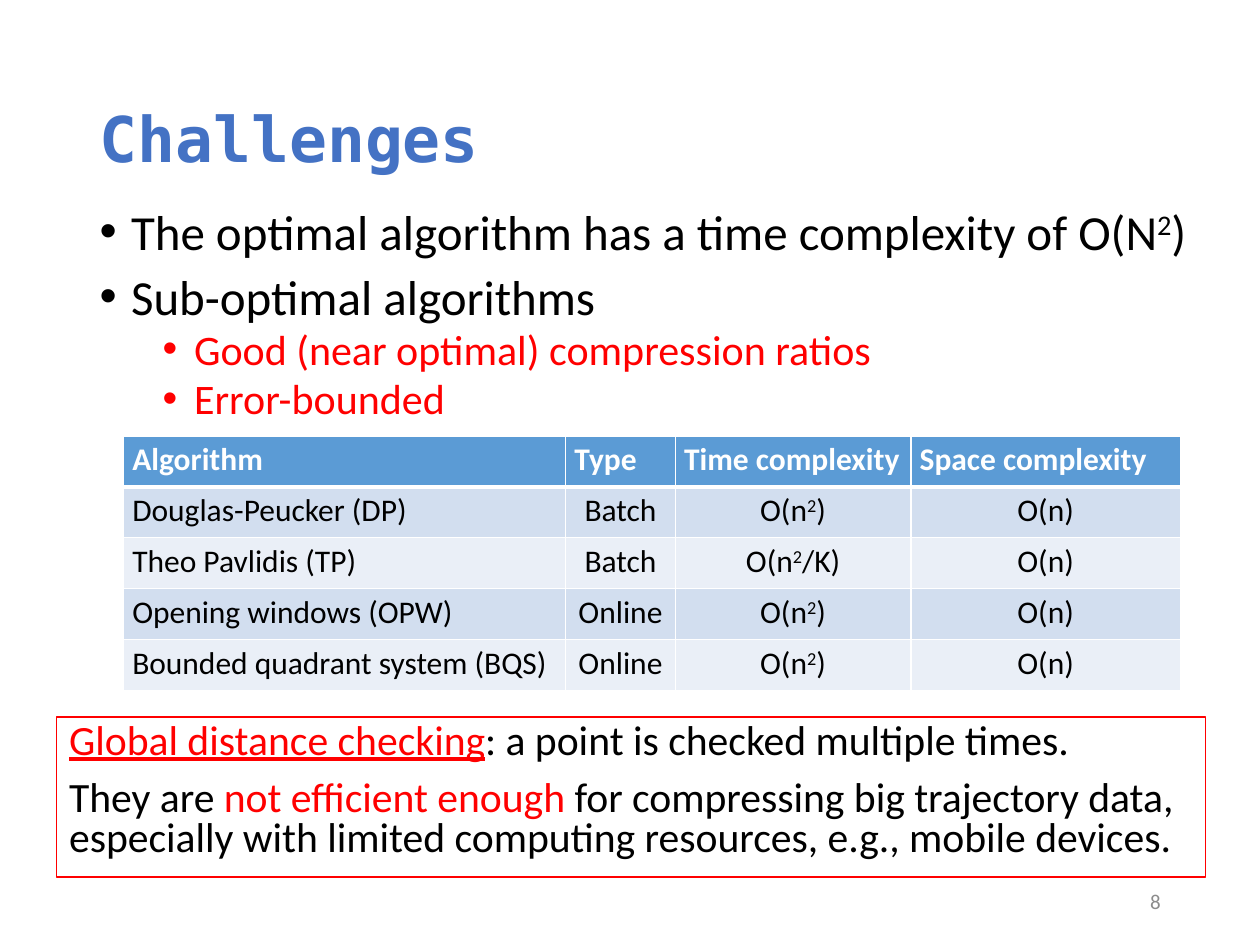
from typing import NamedTuple

import lxml.etree
import pptx
import pptx.dml.color
import pptx.enum.shapes
import pptx.enum.text
import pptx.oxml.ns
import pptx.util

BODY_FONT = "Calibri"
TITLE_FONT = "DejaVu Sans Mono"
BLACK, WHITE, RED = "000000", "FFFFFF", "FF0000"
HEADER_BLUE, TITLE_BLUE, GREY = "5B9BD5", "4472C4", "8C8C8C"
BAND_FILLS = ("D2DEEF", "EAEFF7")
ALIGN = pptx.enum.text.PP_ALIGN
ANCHOR = pptx.enum.text.MSO_ANCHOR

SLIDE_WIDTH = pptx.util.Inches(10)
SLIDE_HEIGHT = pptx.util.Inches(7.5)


class Area(NamedTuple):
    """A rectangle in percent of the slide's width and height."""
    left: float
    top: float
    width: float
    height: float

    def lengths(self) -> tuple[int, int, int, int]:
        return (across(self.left), down(self.top), across(self.width), down(self.height))


class Run(NamedTuple):
    text: str
    color: str = BLACK
    underline: bool = False
    superscript: bool = False


class Style(NamedTuple):
    size: float
    font: str = BODY_FONT
    bold: bool = False
    align: ALIGN = ALIGN.LEFT
    line_spacing: float = 1.0
    space_before: float = 0


class Bullet(NamedTuple):
    runs: list[Run]
    level: int = 0


TITLE_AREA = Area(6.9, 5.33, 86.2, 19.33)
BODY_AREA = Area(6.9, 21.87, 88.8, 25.47)
TABLE_AREA = Area(9.8, 46.13, 83.9, 26.93)
BOX_AREA = Area(4.5, 75.87, 91.2, 16.93)
NUMBER_AREA = Area(70.6, 92.67, 22.5, 5.33)
COLUMN_WIDTHS = (35.1, 8.7, 18.7, 21.4)

SQUARE = Run("2", superscript=True)
QUADRATIC = [Run("O(n"), SQUARE, Run(")")]
LINEAR = [Run("O(n)")]

BULLETS = [
    Bullet([Run("The optimal algorithm has a time complexity of O(N"), SQUARE, Run(")")]),
    Bullet([Run("Sub-optimal algorithms")]),
    Bullet([Run("Good (near optimal) compression ratios", RED)], level=1),
    Bullet([Run("Error-bounded", RED)], level=1),
]
BULLET_STYLES = (Style(28, line_spacing=0.8, space_before=10),
                 Style(24, line_spacing=0.8, space_before=5))
BULLET_INDENTS = (0.25, 0.75)

HEADINGS = ("Algorithm", "Type", "Time complexity", "Space complexity")
ALGORITHMS = [
    ("Douglas-Peucker (DP)", "Batch", QUADRATIC),
    ("Theo Pavlidis (TP)", "Batch", [Run("O(n"), SQUARE, Run("/K)")]),
    ("Opening windows (OPW)", "Online", QUADRATIC),
    ("Bounded quadrant system (BQS)", "Online", QUADRATIC),
]

CONCLUSIONS = [
    [Run("Global distance checking", RED, underline=True),
     Run(": a point is checked multiple times.")],
    [Run("They are "), Run("not efficient enough", RED),
     Run(" for compressing big trajectory data, especially with limited "
         "computing resources, e.g., mobile devices.")],
]


def across(percent: float) -> int:
    return round(SLIDE_WIDTH * percent / 100)


def down(percent: float) -> int:
    return round(SLIDE_HEIGHT * percent / 100)


def color(value: str) -> pptx.dml.color.RGBColor:
    return pptx.dml.color.RGBColor.from_string(value)


def place(shape, area: Area) -> None:
    shape.left, shape.top, shape.width, shape.height = area.lengths()


def paragraph_at(text_frame, index: int):
    return text_frame.paragraphs[0] if index == 0 else text_frame.add_paragraph()


def write(paragraph, runs: list[Run], style: Style, first: bool = True) -> None:
    paragraph.alignment = style.align
    paragraph.line_spacing = style.line_spacing
    paragraph.space_before = pptx.util.Pt(0 if first else style.space_before)
    for item in runs:
        run = paragraph.add_run()
        run.text = item.text
        run.font.name = style.font
        run.font.size = pptx.util.Pt(style.size)
        run.font.bold = style.bold
        run.font.underline = item.underline
        run.font.color.rgb = color(item.color)
        if item.superscript:
            run._r.get_or_add_rPr().set("baseline", "30000")


def add_bullet(paragraph, indent: float) -> None:
    properties = paragraph._p.get_or_add_pPr()
    properties.set("marL", str(pptx.util.Inches(indent)))
    properties.set("indent", str(-pptx.util.Inches(0.25)))
    for tag, name, value in (("a:buFont", "typeface", "Arial"), ("a:buChar", "char", "•")):
        lxml.etree.SubElement(properties, pptx.oxml.ns.qn(tag)).set(name, value)


def set_borders(cell, widths: dict[str, float]) -> None:
    """Draw white borders; they come before the fill in the cell's XML."""
    properties = cell._tc.get_or_add_tcPr()
    for position, (side, width) in enumerate(widths.items()):
        line = lxml.etree.Element(pptx.oxml.ns.qn(f"a:{side}"), w=str(pptx.util.Pt(width)))
        fill = lxml.etree.SubElement(line, pptx.oxml.ns.qn("a:solidFill"))
        lxml.etree.SubElement(fill, pptx.oxml.ns.qn("a:srgbClr")).set("val", WHITE)
        properties.insert(position, line)


def add_title(slide) -> None:
    title = slide.shapes.title
    place(title, TITLE_AREA)
    title.text_frame.vertical_anchor = ANCHOR.MIDDLE
    write(title.text_frame.paragraphs[0], [Run("Challenges", TITLE_BLUE)],
          Style(36, TITLE_FONT, bold=True, line_spacing=0.9))


def add_body(slide) -> None:
    body = slide.placeholders[1]
    place(body, BODY_AREA)
    body.text_frame.auto_size = pptx.enum.text.MSO_AUTO_SIZE.NONE
    for index, bullet in enumerate(BULLETS):
        paragraph = paragraph_at(body.text_frame, index)
        paragraph.level = bullet.level
        write(paragraph, bullet.runs, BULLET_STYLES[bullet.level], index == 0)
        add_bullet(paragraph, BULLET_INDENTS[bullet.level])


def add_algorithm_table(slide) -> None:
    rows = [[[Run(heading, WHITE)] for heading in HEADINGS]]
    rows += [[[Run(name)], [Run(kind)], time, LINEAR] for name, kind, time in ALGORITHMS]
    table = slide.shapes.add_table(len(rows), len(HEADINGS), *TABLE_AREA.lengths()).table
    for column, width in zip(table.columns, COLUMN_WIDTHS):
        column.width = across(width)
    for row_index, row in enumerate(rows):
        header = row_index == 0
        for column_index, runs in enumerate(row):
            cell = table.cell(row_index, column_index)
            cell.margin_left = cell.margin_right = pptx.util.Inches(0.07)
            cell.margin_top = cell.margin_bottom = pptx.util.Inches(0.04)
            cell.fill.solid()
            cell.fill.fore_color.rgb = color(
                HEADER_BLUE if header else BAND_FILLS[(row_index - 1) % 2])
            set_borders(cell, {"lnL": 1, "lnR": 1, "lnT": 3 if row_index == 1 else 1,
                               "lnB": 3 if header else 1})
            align = ALIGN.LEFT if header or column_index == 0 else ALIGN.CENTER
            write(cell.text_frame.paragraphs[0], runs, Style(18, bold=header, align=align))


def add_conclusion_box(slide) -> None:
    box = slide.shapes.add_shape(pptx.enum.shapes.MSO_SHAPE.RECTANGLE, *BOX_AREA.lengths())
    box.shadow.inherit = False
    box.fill.background()
    box.line.color.rgb = color(RED)
    box.line.width = pptx.util.Pt(0.75)
    box.text_frame.word_wrap = True
    box.text_frame.vertical_anchor = ANCHOR.TOP
    for index, runs in enumerate(CONCLUSIONS):
        write(paragraph_at(box.text_frame, index), runs,
              Style(23.8, line_spacing=0.8, space_before=10), index == 0)


def add_slide_number(slide) -> None:
    number = slide.shapes.add_textbox(*NUMBER_AREA.lengths())
    number.text_frame.word_wrap = True
    number.text_frame.vertical_anchor = ANCHOR.MIDDLE
    write(number.text_frame.paragraphs[0], [Run("8", GREY)], Style(12, align=ALIGN.RIGHT))


def main() -> None:
    presentation = pptx.Presentation()
    presentation.slide_width, presentation.slide_height = SLIDE_WIDTH, SLIDE_HEIGHT
    slide = presentation.slides.add_slide(presentation.slide_layouts[1])
    for draw in (add_title, add_body, add_slide_number, add_algorithm_table, add_conclusion_box):
        draw(slide)
    presentation.save("out.pptx")


if __name__ == "__main__":
    main()
